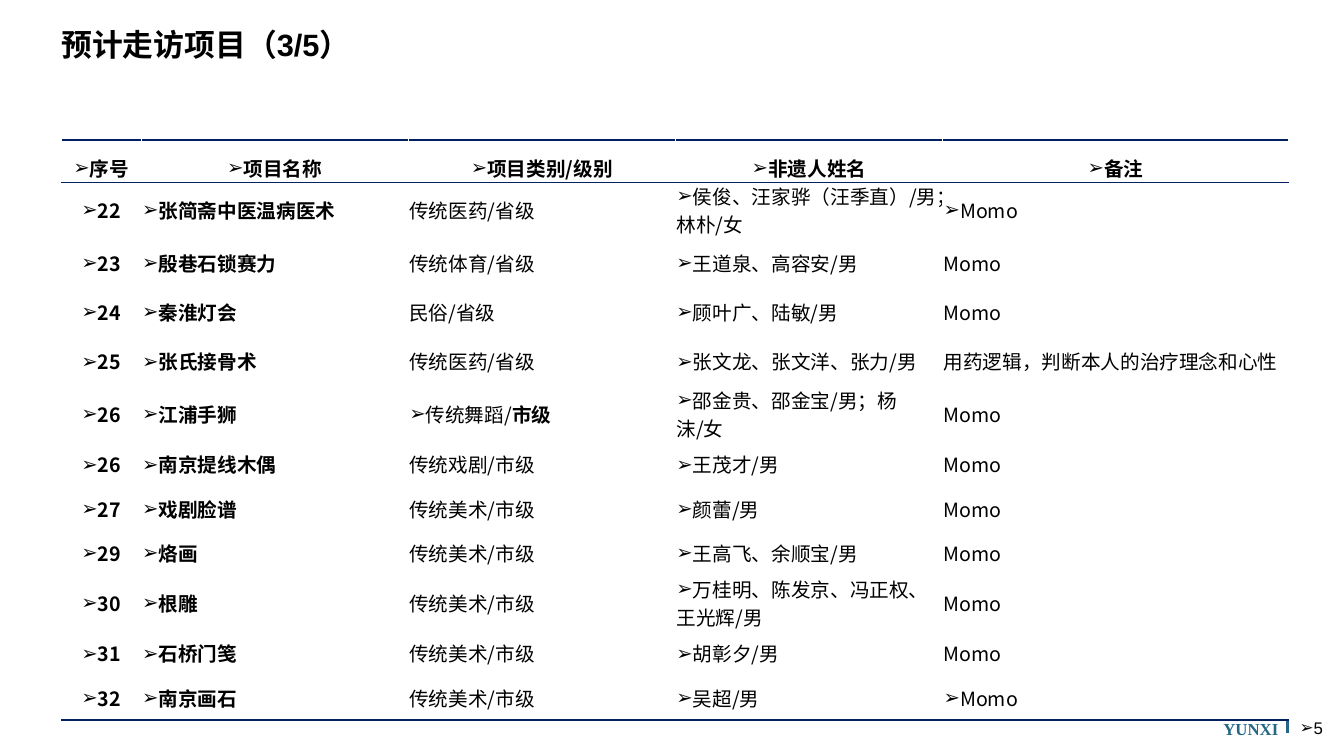
import dataclasses
import typing

import lxml.etree
import pptx
import pptx.dml.color
import pptx.enum.shapes
import pptx.enum.text
import pptx.oxml.ns
import pptx.util

PX = 9144
COLORS = {"white": "FFFFFF", "black": "000000", "navy": "002060", "teal": "256785"}
SANS, CJK, SERIF = "Arial", "Noto Sans CJK SC", "Times New Roman"
ALIGN = pptx.enum.text.PP_ALIGN
ANCHOR = pptx.enum.text.MSO_ANCHOR
HEADINGS = ("序号", "项目名称", "项目类别/级别", "非遗人姓名", "备注")
COLUMN_WIDTHS = (79, 265, 265, 265, 343)
HEADER_HEIGHT = 37
BULLETED_COLUMNS = {0, 1, 3}
BOLD_COLUMNS = {0, 1}


@dataclasses.dataclass(frozen=True)
class Project:
    number: str
    name: str
    category: str
    heirs: str
    note: str = "Momo"
    height: int = 44
    strong_level: str = ""
    extra_bullets: frozenset[int] = frozenset()


@dataclasses.dataclass(frozen=True)
class Style:
    size: int
    font: str
    color: str = "black"
    bold: bool = False


@dataclasses.dataclass(frozen=True)
class Edge:
    color: str
    points: float


HAIR = Edge("white", 1)
RULE = Edge("navy", 1.5)
HEADER_RULE = Edge("navy", 0.5)

PROJECTS = (
    Project("22", "张简斋中医温病医术", "传统医药/省级", "侯俊、汪家骅（汪季直）/男；林朴/女",
            height=49, extra_bullets=frozenset({4})),
    Project("23", "殷巷石锁赛力", "传统体育/省级", "王道泉、高容安/男", height=49),
    Project("24", "秦淮灯会", "民俗/省级", "顾叶广、陆敏/男", height=49),
    Project("25", "张氏接骨术", "传统医药/省级", "张文龙、张文洋、张力/男",
            "用药逻辑，判断本人的治疗理念和心性", height=49),
    Project("26", "江浦手狮", "传统舞蹈/", "邵金贵、邵金宝/男；杨沫/女",
            height=49, strong_level="市级", extra_bullets=frozenset({2})),
    Project("26", "南京提线木偶", "传统戏剧/市级", "王茂才/男"),
    Project("27", "戏剧脸谱", "传统美术/市级", "颜蕾/男"),
    Project("29", "烙画", "传统美术/市级", "王高飞、余顺宝/男"),
    Project("30", "根雕", "传统美术/市级", "万桂明、陈发京、冯正权、王光辉/男"),
    Project("31", "石桥门笺", "传统美术/市级", "胡彰夕/男"),
    Project("32", "南京画石", "传统美术/市级", "吴超/男", extra_bullets=frozenset({4})),
)


def px(length: int) -> pptx.util.Emu:
    return pptx.util.Emu(length * PX)


def rgb(name: str) -> pptx.dml.color.RGBColor:
    return pptx.dml.color.RGBColor.from_string(COLORS[name])


def child(parent: typing.Any, tag: str, **attributes: str) -> typing.Any:
    return lxml.etree.SubElement(parent, pptx.oxml.ns.qn(tag), **attributes)


def add_run(paragraph: typing.Any, text: str, style: Style) -> None:
    run = paragraph.add_run()
    run.text = text
    run.font.size = pptx.util.Pt(style.size)
    run.font.name = style.font
    run.font.bold = style.bold
    run.font.color.rgb = rgb(style.color)
    child(run.font._element, "a:ea", typeface=CJK)


def add_bullet(paragraph: typing.Any) -> None:
    properties = paragraph._p.get_or_add_pPr()
    properties.set("marL", "0")
    properties.set("indent", "0")
    child(properties, "a:buFont", typeface=SANS)
    child(properties, "a:buChar", char="➢")


def set_insets(frame: typing.Any, side: int = 0, end: int = 0) -> None:
    frame.margin_left = frame.margin_right = px(side)
    frame.margin_top = frame.margin_bottom = px(end)


def add_label(slide: typing.Any, box: tuple[int, int, int, int], text: str, style: Style,
              align: typing.Any, insets: tuple[int, int] = (0, 0),
              anchor: typing.Any = ANCHOR.TOP, spacing: float = 1.0,
              bulleted: bool = False) -> None:
    frame = slide.shapes.add_textbox(*map(px, box)).text_frame
    frame.word_wrap = True
    frame.vertical_anchor = anchor
    set_insets(frame, *insets)
    paragraph = frame.paragraphs[0]
    paragraph.alignment = align
    paragraph.line_spacing = spacing
    if bulleted:
        add_bullet(paragraph)
    add_run(paragraph, text, style)


def set_borders(cell: typing.Any, edges: dict[str, Edge]) -> None:
    properties = cell._tc.get_or_add_tcPr()
    for side, edge in edges.items():
        line = child(properties, f"a:ln{side}", w=str(pptx.util.Pt(edge.points)))
        child(child(line, "a:solidFill"), "a:srgbClr", val=COLORS[edge.color])


def fill_cell(cell: typing.Any, runs: list[tuple[str, bool]], edges: dict[str, Edge],
              centered: bool, bulleted: bool, leading: int) -> None:
    set_borders(cell, edges)
    cell.fill.solid()
    cell.fill.fore_color.rgb = rgb("white")
    cell.vertical_anchor = ANCHOR.MIDDLE
    set_insets(cell, side=1)
    paragraph = cell.text_frame.paragraphs[0]
    paragraph.alignment = ALIGN.CENTER if centered else ALIGN.LEFT
    paragraph.line_spacing = pptx.util.Pt(leading)
    if bulleted:
        add_bullet(paragraph)
    for text, bold in runs:
        add_run(paragraph, text, Style(14, CJK, bold=bold))


def add_projects(slide: typing.Any) -> None:
    heights = [HEADER_HEIGHT] + [project.height for project in PROJECTS]
    last_row, last_column = len(PROJECTS), len(HEADINGS) - 1
    visits = slide.shapes.add_table(len(heights), len(HEADINGS), px(61), px(139),
                                    px(sum(COLUMN_WIDTHS)), px(sum(heights))).table
    visits.first_row = visits.horz_banding = False
    for column, width in zip(visits.columns, COLUMN_WIDTHS):
        column.width = px(width)
    for row, height in zip(visits.rows, heights):
        row.height = px(height)

    def edges(row: int, column: int) -> dict[str, Edge]:
        sides = {}
        if column > 0:
            sides["L"] = HAIR
        if column < last_column:
            sides["R"] = HAIR
        sides["T"] = {0: RULE, 1: HEADER_RULE}.get(row, HAIR)
        sides["B"] = {0: HEADER_RULE, last_row: RULE}.get(row, HAIR)
        return sides

    for column, heading in enumerate(HEADINGS):
        fill_cell(visits.cell(0, column), [(heading, True)], edges(0, column), True, True, 30)
    for row, project in enumerate(PROJECTS, 1):
        values = (project.number, project.name, project.category, project.heirs, project.note)
        for column, value in enumerate(values):
            runs = [(value, column in BOLD_COLUMNS)]
            if column == 2 and project.strong_level:
                runs.append((project.strong_level, True))
            fill_cell(visits.cell(row, column), runs, edges(row, column), column == 0,
                      column in BULLETED_COLUMNS | project.extra_bullets, 20)


def add_title(slide: typing.Any) -> None:
    title = slide.shapes.title
    title.left, title.top, title.width, title.height = map(px, (61, 29, 1211, 79))
    frame = title.text_frame
    frame.auto_size = pptx.enum.text.MSO_AUTO_SIZE.NONE
    frame.vertical_anchor = ANCHOR.TOP
    set_insets(frame)
    heading = frame.paragraphs[0]
    heading.alignment = ALIGN.LEFT
    heading.line_spacing = 0.93
    add_run(heading, "预计走访项目（3/5）", Style(22, SANS, bold=True))


def add_footer(slide: typing.Any) -> None:
    add_label(slide, (1091, 704, 181, 32), "YUNXI", Style(12, SERIF, "teal", True),
              ALIGN.RIGHT, insets=(4, 5), spacing=1.2)
    divider = slide.shapes.add_connector(pptx.enum.shapes.MSO_CONNECTOR.STRAIGHT,
                                         *map(px, (1277, 727, 1277, 715)))
    divider.line.color.rgb = rgb("teal")
    divider.line.width = pptx.util.Pt(2.25)
    child(divider._element.spPr, "a:effectLst")
    add_label(slide, (1281, 712, 39, 20), "5", Style(12, SANS), ALIGN.CENTER,
              anchor=ANCHOR.MIDDLE, bulleted=True)


def main() -> None:
    deck = pptx.Presentation()
    deck.slide_width, deck.slide_height = px(1333), px(750)
    slide = deck.slides.add_slide(deck.slide_layouts[5])
    add_footer(slide)
    add_title(slide)
    add_projects(slide)
    deck.save("out.pptx")


if __name__ == "__main__":
    main()
